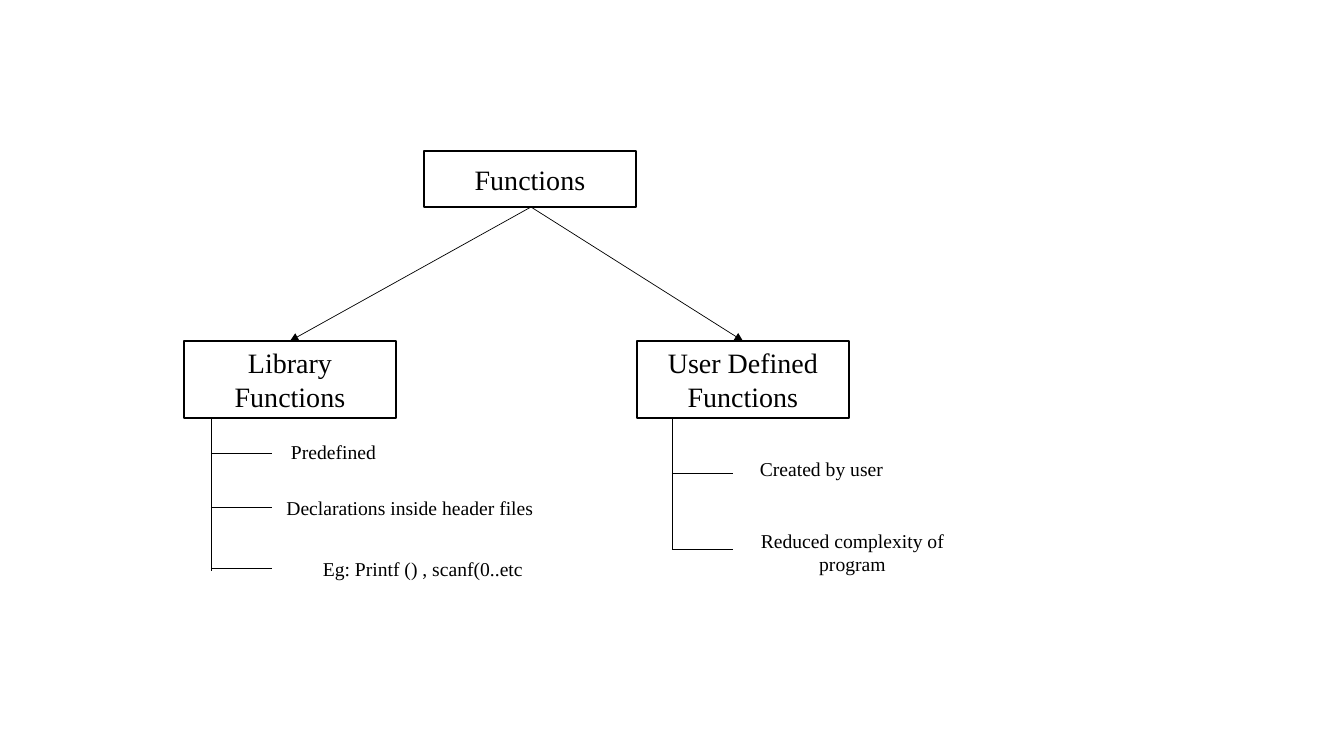
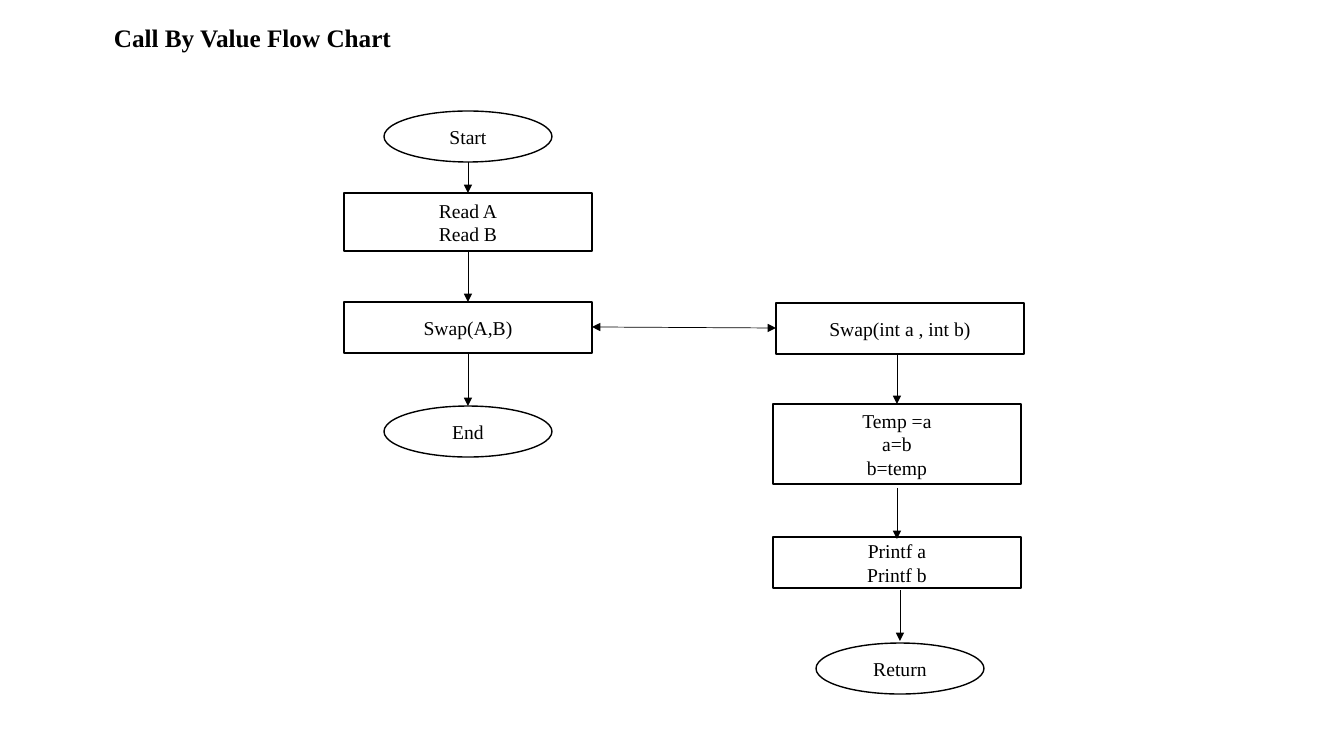
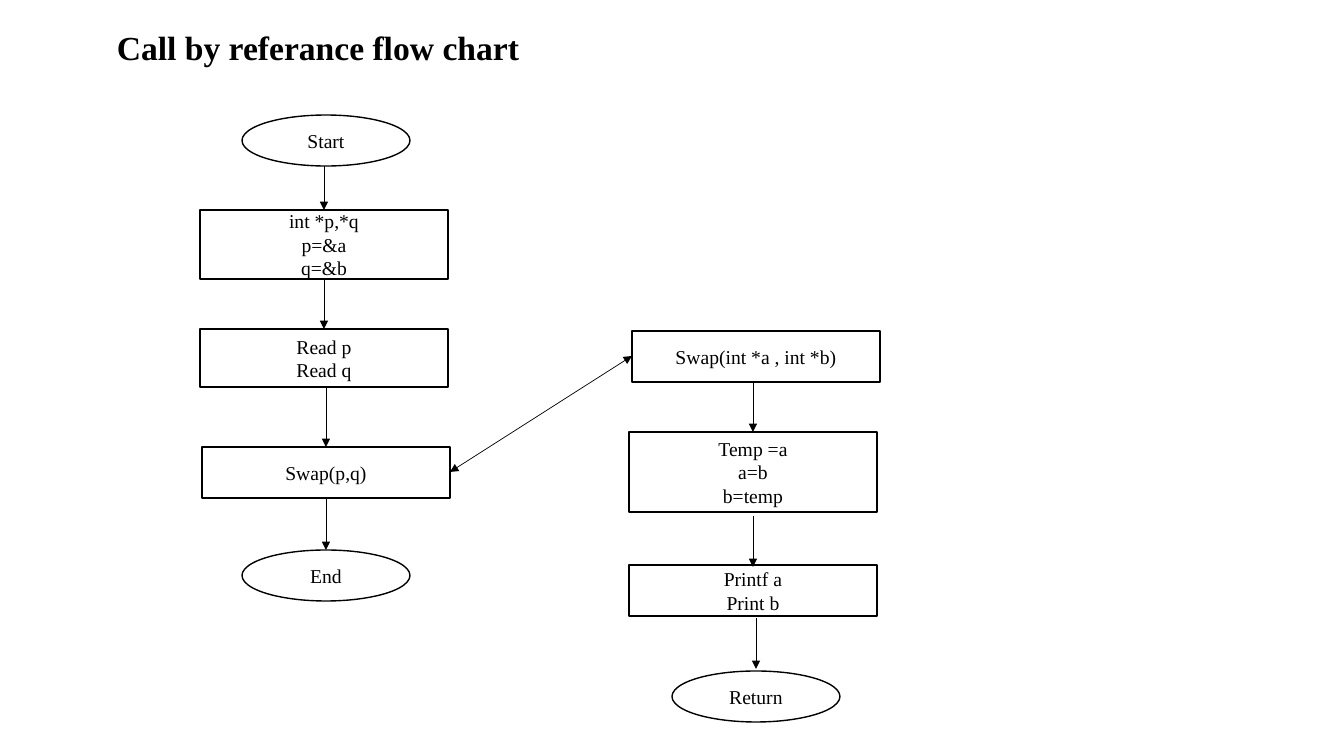
from dataclasses import dataclass
from typing import Optional

from pptx import Presentation
from pptx.dml.color import RGBColor
from pptx.enum.shapes import MSO_CONNECTOR as CONNECTOR, MSO_SHAPE as SHAPE
from pptx.enum.text import MSO_ANCHOR as ANCHOR, PP_ALIGN as ALIGN
from pptx.oxml.ns import qn
from pptx.util import Pt
from lxml.etree import SubElement

EMU_PER_PX = 914400 / 100.8
COLORS = {"ink": "000000", "paper": "FFFFFF"}
FONT = "Times New Roman"
BODY_SIZE, BOX_SIZE = 14, 20
STEP_WIDTH, STEP_HEIGHT = 248, 51
TERMINAL_WIDTH = 168


@dataclass
class Step:
    """One flow chart node; arrow gives the top and bottom of the line above it."""
    text: str
    center: int
    top: int
    height: int = STEP_HEIGHT
    terminal: bool = False
    arrow: Optional[tuple] = None

    @property
    def width(self):
        return TERMINAL_WIDTH if self.terminal else STEP_WIDTH

    @property
    def left(self):
        return self.center - self.width // 2

    @property
    def right(self):
        return self.left + self.width

    @property
    def bottom(self):
        return self.top + self.height

    @property
    def middle(self):
        return self.top + self.height // 2


def px(*lengths):
    return [round(length * EMU_PER_PX) for length in lengths]


def color(key):
    return RGBColor.from_string(COLORS[key])


def write(frame, text, size, bold=False, align=ALIGN.CENTER, anchor=ANCHOR.MIDDLE):
    frame.word_wrap = True
    frame.vertical_anchor = anchor
    frame.text = text
    for paragraph in frame.paragraphs:
        paragraph.alignment = align
        font = paragraph.font
        font.name, font.size, font.bold = FONT, Pt(size), bold
        font.color.rgb = color("ink")


def add_title(slide, text, box, size, **placing):
    title = slide.shapes.add_textbox(*px(*box))
    write(title.text_frame, text, size, bold=True, **placing)


def add_box(slide, text, box, size=BODY_SIZE, kind=SHAPE.RECTANGLE, outline="ink"):
    shape = slide.shapes.add_shape(kind, *px(*box))
    shape.shadow.inherit = False
    shape.fill.solid()
    shape.fill.fore_color.rgb = color("paper")
    shape.line.color.rgb = color(outline)
    shape.line.width = Pt(1)
    write(shape.text_frame, text, size)


def add_line(slide, start, end, arrowheads=()):
    """arrowheads may hold "headEnd" (at start) and "tailEnd" (at end), in that order."""
    line = slide.shapes.add_connector(CONNECTOR.STRAIGHT, *px(*start, *end))
    line.line.color.rgb = color("ink")
    line.line.width = Pt(0.5)
    for place in arrowheads:
        SubElement(line.line._get_or_add_ln(), qn(f"a:{place}"), type="triangle")
    SubElement(line._element.spPr, qn("a:effectLst"))


def add_branches(slide, stem_x, top, bottom, branches):
    """Stem with one tick per (tick y, text, label box)."""
    add_line(slide, (stem_x, top), (stem_x, bottom))
    for tick_y, text, label in branches:
        add_line(slide, (stem_x, tick_y), (stem_x + 61, tick_y))
        add_box(slide, text, label, outline="paper")


def add_flow(slide, steps):
    for step in steps:
        add_box(slide, step.text, (step.left, step.top, step.width, step.height),
                kind=SHAPE.OVAL if step.terminal else SHAPE.RECTANGLE)
    for above, below in zip(steps, steps[1:]):
        start, end = below.arrow or (above.bottom, below.top)
        add_line(slide, (below.center, start), (below.center, end), ["tailEnd"])


def add_swap_call(slide, caller, center, top, signature, output):
    """The called function's flow, joined to the step that calls it."""
    called = Step(signature, center, top)
    add_flow(slide, [
        called,
        Step("Temp =a\na=b\nb=temp", center - 3, top + 101, 80),
        Step(output, center - 3, top + 234, arrow=(top + 185, top + 236)),
        Step("Return", center, top + 340, terminal=True, arrow=(top + 287, top + 338)),
    ])
    add_line(slide, (called.left, called.middle), (caller.right, caller.middle),
             ["headEnd", "tailEnd"])


def build_function_types(slide):
    # Tree of function kinds
    root_bottom, kinds_top, kinds_bottom = 207, 341, 418
    width = 212
    add_box(slide, "Functions", (424, 151, width, root_bottom - 151), BOX_SIZE)
    for text, left in (("Library Functions", 184), ("User Defined Functions", 637)):
        add_box(slide, text, (left, kinds_top, width, kinds_bottom - kinds_top), BOX_SIZE)
        add_line(slide, (531, root_bottom), (left + width // 2, kinds_top), ["tailEnd"])

    # Traits of each kind
    add_branches(slide, 211, kinds_bottom, 571, [
        (453, "Predefined", (273, 432, 121, 40)),
        (507, "Declarations inside header files", (275, 488, 270, 40)),
        (568, "Eg: Printf () , scanf(0..etc", (283, 549, 280, 40)),
    ])
    add_branches(slide, 672, kinds_bottom, 549, [
        (473, "Created by user", (740, 449, 163, 40)),
        (549, "Reduced complexity of program", (734, 532, 237, 40)),
    ])


def build_call_by_value(slide):
    add_title(slide, "Call By Value Flow Chart", (104, 17, 472, 40), 18,
              align=ALIGN.LEFT, anchor=ANCHOR.TOP)
    center = 468
    swap = Step("Swap(A,B)", center, 302)
    add_flow(slide, [
        Step("Start", center, 111, terminal=True),
        Step("Read A\nRead B", center, 193, 58),
        swap,
        Step("End", center, 406, terminal=True),
    ])
    add_swap_call(slide, swap, 900, 303, "Swap(int a , int b)", "Printf a\nPrintf b")


def build_call_by_reference(slide):
    add_title(slide, "Call by referance flow chart", (72, 11, 492, 72), 24)
    center = 324
    swap = Step("Swap(p,q)", center + 2, 447)
    add_flow(slide, [
        Step("Start", center + 2, 115, terminal=True),
        Step("int *p,*q\np=&a\nq=&b", center, 210, 69),
        Step("Read p\nRead q", center, 329, 58),
        swap,
        Step("End", center + 2, 550, terminal=True),
    ])
    add_swap_call(slide, swap, 756, 331, "Swap(int *a , int *b)", "Printf a\nPrint b")


def main():
    deck = Presentation()
    deck.slide_width, deck.slide_height = px(1344, 756)
    blank = deck.slide_layouts[6]
    for build in (build_function_types, build_call_by_value, build_call_by_reference):
        build(deck.slides.add_slide(blank))
    deck.save("out.pptx")


main()
